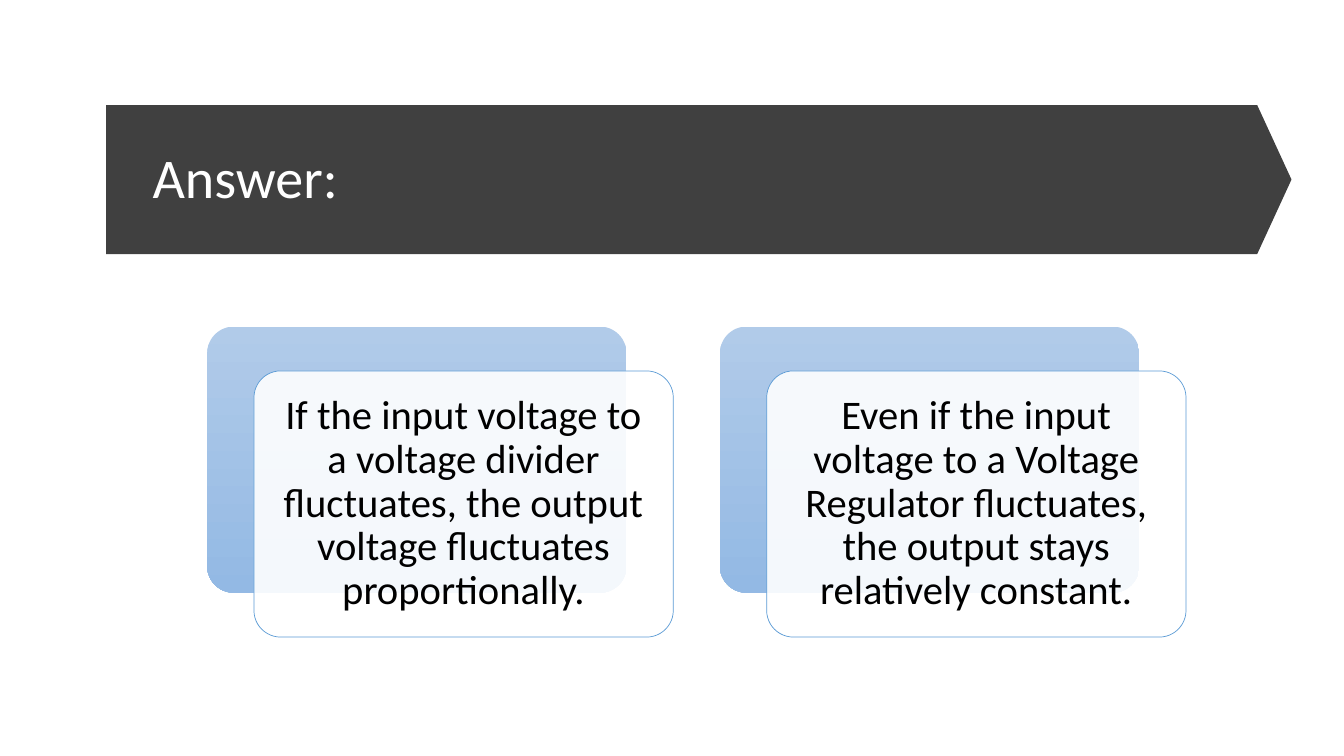
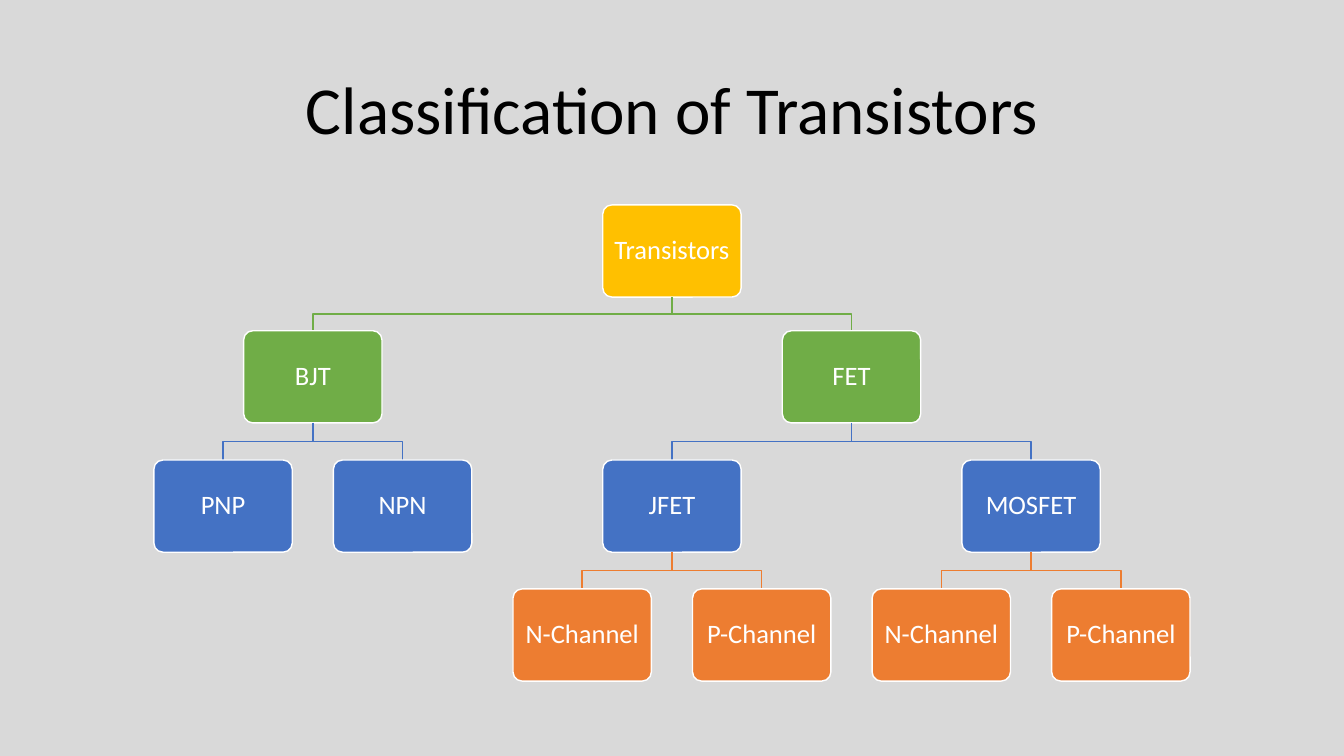
from pptx import Presentation
from pptx.dml.color import RGBColor
from pptx.enum.shapes import MSO_SHAPE as SHAPE
from pptx.enum.text import MSO_ANCHOR as ANCHOR, MSO_AUTO_SIZE as AUTO, PP_ALIGN as ALIGN
from pptx.oxml.ns import qn
from pptx.util import Inches, Pt
from lxml import etree

FONT = "Calibri"
COLORS = {
    "white": "FFFFFF", "black": "000000", "band": "404040", "gray": "D9D9D9",
    "card_top": "B1CBE9", "card_bottom": "93B9E4", "card_line": "5B9BD5",
    "gold": "FFC000", "green": "70AD47", "blue": "4472C4", "orange": "ED7D31",
}


def rgb(name):
    return RGBColor.from_string(COLORS[name])


class Deck:
    """Holds the style and the current slide; lengths are percent of the slide's size."""

    def __init__(self):
        self.prs = Presentation()
        self.prs.slide_width, self.prs.slide_height = Inches(40 / 3), Inches(7.5)
        self.s = None

    def x(self, share):
        return round(self.prs.slide_width * share / 100)

    def y(self, share):
        return round(self.prs.slide_height * share / 100)

    def box(self, left, top, width, height):
        return self.x(left), self.y(top), self.x(width), self.y(height)

    def new_slide(self, background):
        self.s = self.prs.slides.add_slide(self.prs.slide_layouts[5])
        fill = self.s.background.fill
        fill.solid()
        fill.fore_color.rgb = rgb(background)

    def label(self, sp, text, size, color, align=ALIGN.CENTER, inset=0.1):
        tf = sp.text_frame
        tf.text = text
        tf.word_wrap, tf.auto_size = True, AUTO.NONE
        tf.vertical_anchor = ANCHOR.MIDDLE
        tf.margin_left = tf.margin_right = Inches(inset)
        tf.margin_top = tf.margin_bottom = Inches(inset)
        p = tf.paragraphs[0]
        p.alignment, p.line_spacing = align, 0.9
        font = p.runs[0].font
        font.name, font.size, font.color.rgb = FONT, Pt(size), rgb(color)

    def title(self, text, area, size, color, align):
        sp = self.s.shapes.title
        sp.left, sp.top, sp.width, sp.height = self.box(*area)
        self.label(sp, text, size, color, align)

    def shape(self, kind, area, adjust, fill=None, line=None, weight=1.0):
        sp = self.s.shapes.add_shape(kind, *self.box(*area))
        sp.shadow.inherit = False
        sp.adjustments[0] = adjust
        if fill:
            sp.fill.solid()
            sp.fill.fore_color.rgb = rgb(fill)
        if line:
            sp.line.color.rgb, sp.line.width = rgb(line), Pt(weight)
        else:
            sp.line.fill.background()
        return sp

    def band(self, area):
        """Arrow-ended band that lies behind the title."""
        sp = self.shape(SHAPE.PENTAGON, area, 0.23, "band")
        self.s.shapes.title._element.addprevious(sp._element)

    def card(self, left, top, text):
        """Translucent text card in front of a shifted gradient panel."""
        width, height = 31.2, 35.2
        panel = self.shape(SHAPE.ROUNDED_RECTANGLE, (left, top, width, height), 0.1)
        panel.fill.gradient()
        panel.fill.gradient_angle = 270
        for stop, name in zip(panel.fill.gradient_stops, ("card_top", "card_bottom")):
            stop.color.rgb = rgb(name)
        front = self.shape(SHAPE.ROUNDED_RECTANGLE, (left + 3.48, top + 5.87, width, height),
                           0.1, "white", "card_line", 0.5)
        color = front._element.spPr.find(f"{qn('a:solidFill')}/{qn('a:srgbClr')}")
        etree.SubElement(color, qn("a:alpha"), val="90000")
        self.label(front, text, 29, "black", inset=0.12)

    def elbow(self, x1, y1, x2, y2, color):
        """Right-angled line that turns halfway down."""
        middle = (y1 + y2) / 2
        points = [(self.x(px), self.y(py))
                  for px, py in ((x1, y1), (x1, middle), (x2, middle), (x2, y2))]
        builder = self.s.shapes.build_freeform(*points[0])
        builder.add_line_segments(points[1:], close=False)
        sp = builder.convert_to_shape()
        sp.shadow.inherit = False
        sp.fill.background()
        sp.line.color.rgb, sp.line.width = rgb(color), Pt(1)

    def tree(self, node, tops, colors, first=0, level=0):
        """Draw a node centred over its leaves, then its branches."""
        width, height, pitch = 10.3, 12.2, 13.36
        start = 50 - pitch * (leaves(TREE) - 1) / 2

        def centre(part, slot):
            return start + pitch * (slot + (leaves(part) - 1) / 2)

        text, children = node
        cx = centre(node, first)
        sp = self.shape(SHAPE.ROUNDED_RECTANGLE, (cx - width / 2, tops[level], width, height),
                        0.1, colors[level], "white")
        self.label(sp, text, 19, "white", inset=0.08)
        for child in children:
            self.elbow(cx, tops[level] + height, centre(child, first), tops[level + 1],
                       colors[level + 1])
            self.tree(child, tops, colors, first, level + 1)
            first += leaves(child)


def leaves(node):
    return sum(map(leaves, node[1])) or 1


CHANNELS = [("N-Channel", []), ("P-Channel", [])]
TREE = ("Transistors", [
    ("BJT", [("PNP", []), ("NPN", [])]),
    ("FET", [("JFET", CHANNELS), ("MOSFET", CHANNELS)]),
])
ANSWERS = [
    "If the input voltage to a voltage divider fluctuates, "
    "the output voltage fluctuates proportionally.",
    "Even if the input voltage to a Voltage Regulator fluctuates, "
    "the output stays relatively constant.",
]


def main():
    deck = Deck()

    # Answer cards
    deck.new_slide("white")
    deck.band((7.9, 13.9, 88.2, 19.7))
    deck.title("Answer:", (10.6, 17.6, 82.2, 12.5), 40, "white", ALIGN.LEFT)
    for i, text in enumerate(ANSWERS):
        deck.card(15.42 + i * 38.15, 43.2, text)

    # Classification tree
    deck.new_slide("gray")
    deck.title("Classification of Transistors", (6.9, 5.3, 86.2, 19.3), 48, "black", ALIGN.CENTER)
    deck.tree(TREE, (27.1, 43.75, 60.85, 77.9), ("gold", "green", "blue", "orange"))

    deck.prs.save("out.pptx")


if __name__ == "__main__":
    main()
